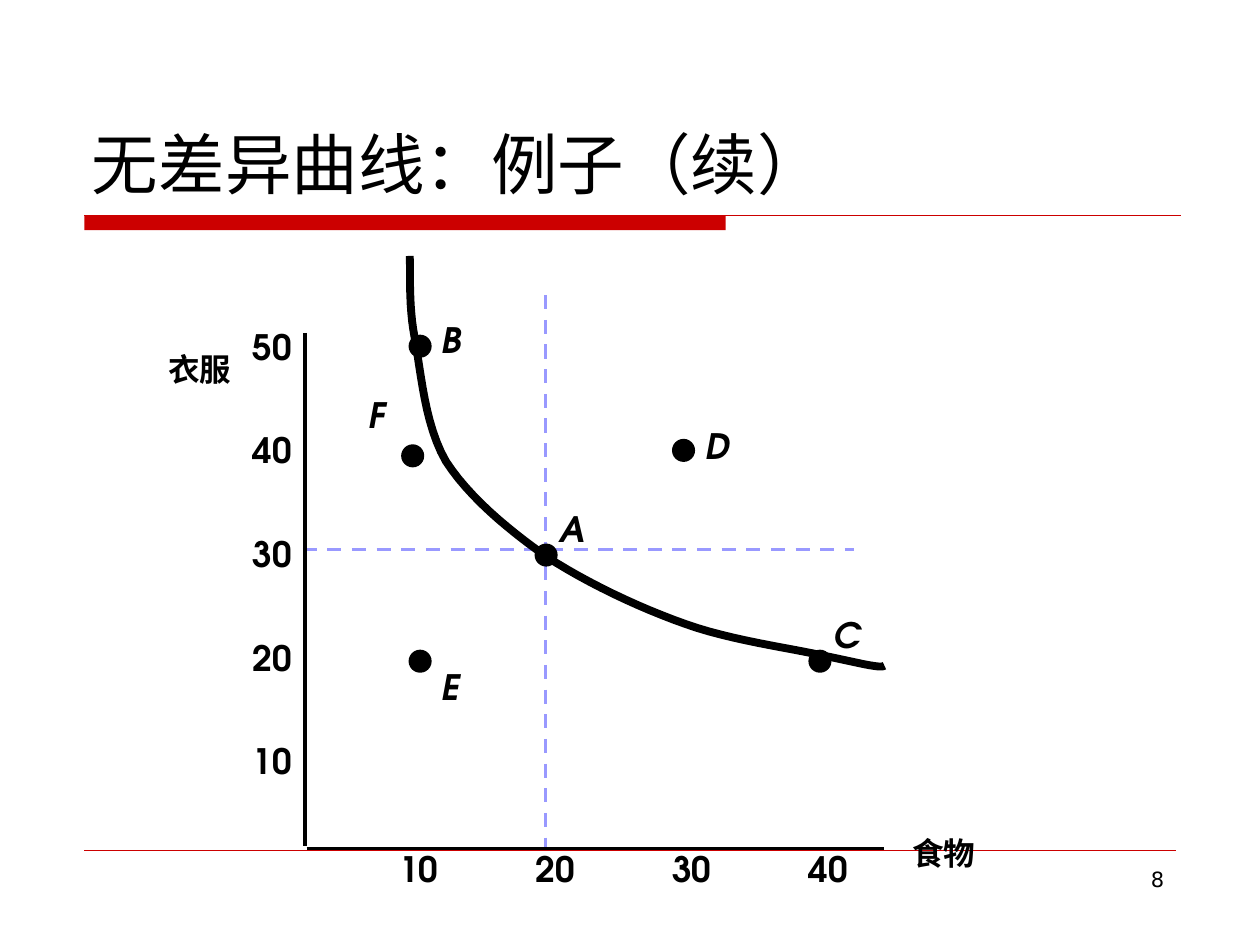
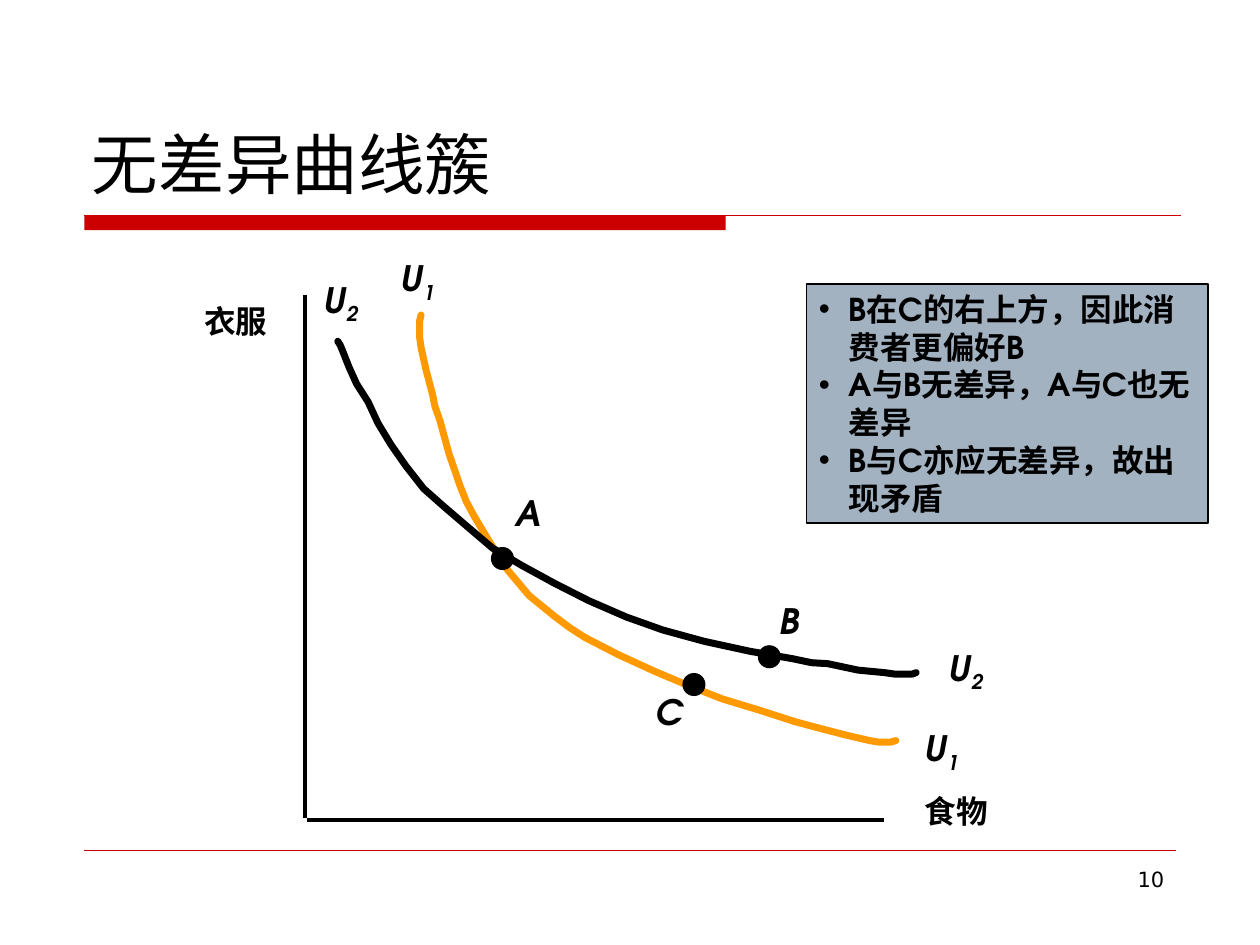
from lxml import etree
from pptx import Presentation
from pptx.dml.color import RGBColor
from pptx.enum.dml import MSO_LINE
from pptx.enum.shapes import MSO_CONNECTOR, MSO_SHAPE
from pptx.enum.text import MSO_ANCHOR, MSO_AUTO_SIZE, PP_ALIGN
from pptx.oxml.ns import qn
from pptx.util import Cm, Pt

STRAIGHT = MSO_CONNECTOR.STRAIGHT
RECT, OVAL = MSO_SHAPE.RECTANGLE, MSO_SHAPE.OVAL
LEFT, RIGHT = PP_ALIGN.LEFT, PP_ALIGN.RIGHT
TOP, BOTTOM = MSO_ANCHOR.TOP, MSO_ANCHOR.BOTTOM
DASH = MSO_LINE.DASH

BLACK, RED, ORANGE = "000000", "CC0000", "FF9900"
GUIDE, PANEL = "9999FF", "A3B2C1"
TITLE_FONT, LABEL_FONT = "DejaVu Sans", "TeX Gyre Adventor"

# Lengths are centimetres; plot parts are measured from the plot's top left.
EXAMPLE_PLOT = (6.15, 5.16, 11.68, 11.94)
FAMILY_PLOT = (6.15, 5.94, 11.68, 10.59)
NOTE_BOX = (16.26, 5.72, 8.1, 4.83)
DOT = 0.43

# Start point, then two control points and an end point for each piece
EXAMPLE_CURVE = [
    (2.11, 0),
    (2.13, 0.28), (2.08, 0.97), (2.21, 1.65),
    (2.34, 2.34), (2.41, 3.4), (2.84, 4.14),
    (3.3, 4.85), (4.06, 5.49), (4.85, 6.05),
    (5.66, 6.58), (6.73, 7.09), (7.67, 7.42),
    (8.59, 7.75), (9.75, 7.9), (10.41, 8.05),
    (11.07, 8.18), (11.61, 8.33), (11.68, 8.26)]
U1_CURVE = [
    (2.34, 0.41), (2.31, 0.53), (2.31, 0.86), (2.34, 1.07), (2.44, 1.52),
    (2.57, 2.01), (2.62, 2.26), (2.72, 2.54), (2.9, 3.2), (3.12, 3.84),
    (3.25, 4.17), (3.4, 4.45), (3.73, 5), (4.09, 5.56), (4.52, 6.07),
    (5.05, 6.5), (5.33, 6.71), (5.64, 6.91), (6.32, 7.26), (7.04, 7.59),
    (7.7, 7.87), (8.41, 8.15), (9.17, 8.38), (9.88, 8.61), (10.44, 8.76),
    (10.95, 8.89), (11.38, 8.99), (11.56, 9.02), (11.81, 9.02), (11.91, 8.99)]
U2_CURVE = [
    (0.66, 0.94), (0.71, 1.02), (0.76, 1.14), (0.89, 1.47), (1.04, 1.8),
    (1.27, 2.16), (1.47, 2.59), (1.73, 3.02), (2.03, 3.45), (2.39, 3.91),
    (2.82, 4.29), (3.3, 4.7), (3.78, 5.11), (4.37, 5.46), (5.03, 5.82),
    (5.72, 6.17), (6.48, 6.5), (7.21, 6.76), (8.05, 6.99), (8.97, 7.19),
    (9.83, 7.34), (10.21, 7.42), (10.54, 7.44), (11.15, 7.57), (11.68, 7.62),
    (11.89, 7.65), (12.24, 7.65), (12.32, 7.62)]

# Name, dot centre, label corner
EXAMPLE_POINTS = [
    ("E", (2.32, 8.17), (2.51, 8.13)), ("F", (2.17, 4.03), (1.02, 2.64)),
    ("B", (2.32, 1.82), (2.51, 1.14)), ("A", (4.86, 6.03), (4.88, 4.95)),
    ("D", (7.63, 3.92), (7.82, 3.28)), ("C", (10.38, 8.17), (10.41, 7.09))]
FAMILY_POINTS = [
    ("A", (3.98, 5.32), (3.99, 3.84)), ("B", (9.36, 7.3), (9.32, 6.02)),
    ("C", (7.84, 7.86), (6.81, 7.85))]
CURVE_NAMES = [("1", 1.68, -0.89), ("1", 12.24, 8.59),
               ("2", 0.13, -0.46), ("2", 12.73, 6.96)]
NOTES = ["B在C的右上方，因此消费者更偏好B",
         "A与B无差异，A与C也无差异",
         "B与C亦应无差异，故出现矛盾"]


def rgb(value):
    return RGBColor.from_string(value)


def add_run(p, text, size=20, font=LABEL_FONT, color=BLACK, bold=True,
            italic=False, baseline=None):
    r = p.add_run()
    r.text = text
    r.font.size, r.font.name = Pt(size), font
    r.font.bold, r.font.italic = bold, italic
    r.font.color.rgb = rgb(color)
    rPr = r._r.get_or_add_rPr()
    etree.SubElement(rPr, qn("a:ea"), typeface=font)
    if baseline:
        rPr.set("baseline", str(baseline))


def add_text(slide, text, x, y, w, h, align=LEFT, wrap=False, **fmt):
    tf = slide.shapes.add_textbox(Cm(x), Cm(y), Cm(w), Cm(h)).text_frame
    tf.word_wrap = wrap
    p = tf.paragraphs[0]
    p.alignment = align
    add_run(p, text, **fmt)
    return p


def add_line(slide, x1, y1, x2, y2, color=BLACK, width=2, dash=None):
    sp = slide.shapes.add_connector(STRAIGHT, Cm(x1), Cm(y1), Cm(x2), Cm(y2))
    sp.line.color.rgb, sp.line.width = rgb(color), Pt(width)
    if dash:
        sp.line.dash_style = dash
    etree.SubElement(sp._element.spPr, qn("a:effectLst"))


def add_box(slide, kind, x, y, w, h, fill, line=None):
    sp = slide.shapes.add_shape(kind, Cm(x), Cm(y), Cm(w), Cm(h))
    sp.shadow.inherit = False
    sp.fill.solid()
    sp.fill.fore_color.rgb = rgb(fill)
    if line:
        sp.line.color.rgb, sp.line.width = rgb(line), Pt(1)
    else:
        sp.line.fill.background()
    return sp


def bezier_points(nodes, steps=12):
    """Sample a chain of cubic curves."""
    points = [nodes[0]]
    for i in range(0, len(nodes) - 1, 3):
        piece = nodes[i:i + 4]
        for n in range(1, steps + 1):
            t = n / steps
            weights = ((1 - t) ** 3, 3 * t * (1 - t) ** 2,
                       3 * t * t * (1 - t), t ** 3)
            points.append(tuple(sum(k * node[axis] for k, node
                                    in zip(weights, piece))
                                for axis in (0, 1)))
    return points


def add_curve(slide, box, points, color=BLACK, width=4, cap="rnd"):
    left, top = box[:2]
    spots = [(Cm(left + x), Cm(top + y)) for x, y in points]
    builder = slide.shapes.build_freeform(*spots[0])
    builder.add_line_segments(spots[1:], close=False)
    sp = builder.convert_to_shape()
    sp.shadow.inherit = False
    sp.fill.background()
    sp.line.color.rgb, sp.line.width = rgb(color), Pt(width)
    ln = sp.line._get_or_add_ln()
    ln.set("cap", cap)
    etree.SubElement(ln, qn("a:round"))


def add_axes(slide, box, y_start, food_at, clothes_at):
    left, top, w, h = box
    add_line(slide, left, top + y_start, left, top + h - 0.05)
    add_line(slide, left + 0.03, top + h, left + w, top + h)
    for text, (x, y), align in (("食物", food_at, LEFT),
                                ("衣服", clothes_at, RIGHT)):
        add_text(slide, text, left + x, top + y, 1.78, 1.02, align, size=18)


def add_ticks(slide, box):
    left, top, _, h = box
    for i in range(5):
        add_text(slide, str(50 - 10 * i), left - 1.3, top + 1.27 + 2.09 * i,
                 1.32, 1.09)
    for i in range(4):
        add_text(slide, str(10 + 10 * i), left + 1.65 + 2.75 * i,
                 top + h - 0.13, 1.32, 1.09)


def add_points(slide, box, points):
    left, top = box[:2]
    for name, (cx, cy), (x, y) in points:
        add_box(slide, OVAL, left + cx - DOT / 2, top + cy - DOT / 2,
                DOT, DOT, BLACK, BLACK)
        add_text(slide, name, left + x, top + y, 0.94, 1.09, italic=True)


def add_notes_panel(slide, box):
    sp = add_box(slide, RECT, *box, PANEL, BLACK)
    tf = sp.text_frame
    tf.word_wrap = True
    tf.vertical_anchor = TOP
    for i, note in enumerate(NOTES):
        p = tf.add_paragraph() if i else tf.paragraphs[0]
        p.alignment = LEFT
        pPr = p._p.get_or_add_pPr()
        pPr.set("marL", str(Cm(0.6)))
        pPr.set("indent", str(-Cm(0.6)))
        etree.SubElement(pPr, qn("a:buFont"), typeface="Arial")
        etree.SubElement(pPr, qn("a:buChar"), char="•")
        add_run(p, note, size=18)


def new_slide(prs, title, number):
    """Add a slide with the shared title, red band, foot rule and number."""
    slide = prs.slides.add_slide(prs.slide_layouts[5])
    add_box(slide, RECT, 1.7, 4.34, 12.93, 0.3, RED)
    add_line(slide, 1.7, 4.34, 23.8, 4.34, RED, 0.75)
    add_line(slide, 1.7, 17.15, 23.7, 17.15, RED, 0.25)
    sp = slide.shapes.title
    sp.left, sp.top, sp.width, sp.height = Cm(1.6), Cm(0.84), Cm(22.22), Cm(3.38)
    tf = sp.text_frame
    tf.auto_size = MSO_AUTO_SIZE.NONE
    tf.vertical_anchor = BOTTOM
    tf.paragraphs[0].alignment = LEFT
    add_run(tf.paragraphs[0], title, size=38, font=TITLE_FONT, bold=False)
    add_text(slide, str(number), 18.21, 17.35, 5.51, 1.32, RIGHT, wrap=True,
             size=12, font=TITLE_FONT, bold=False)
    return slide


def example_slide(prs, box):
    slide = new_slide(prs, "无差异曲线：例子（续）", 8)
    left, top, _, h = box
    add_line(slide, left - 0.05, top + 5.92, left + 11.07, top + 5.92,
             GUIDE, dash=DASH)
    add_line(slide, left + 4.85, top + 0.79, left + 4.85, top + h,
             GUIDE, dash=DASH)
    add_axes(slide, box, 1.55, (11.99, 11.53), (-3.02, 1.78))
    add_ticks(slide, box)
    add_curve(slide, box, bezier_points(EXAMPLE_CURVE), width=4.5, cap="flat")
    add_points(slide, box, EXAMPLE_POINTS)


def family_slide(prs, box):
    slide = new_slide(prs, "无差异曲线簇", 10)
    left, top = box[:2]
    add_axes(slide, box, 0, (12.24, 9.91), (-2.29, 0.03))
    add_notes_panel(slide, NOTE_BOX)
    add_curve(slide, box, U1_CURVE, ORANGE)
    add_curve(slide, box, U2_CURVE)
    for index, x, y in CURVE_NAMES:
        p = add_text(slide, "U", left + x, top + y, 1.22, 1.22, italic=True)
        add_run(p, index, italic=True, baseline=-25000)
    add_points(slide, box, FAMILY_POINTS)


def main():
    prs = Presentation()
    prs.slide_width, prs.slide_height = Cm(25.4), Cm(19.05)
    example_slide(prs, EXAMPLE_PLOT)
    family_slide(prs, FAMILY_PLOT)
    prs.save("out.pptx")


if __name__ == "__main__":
    main()
